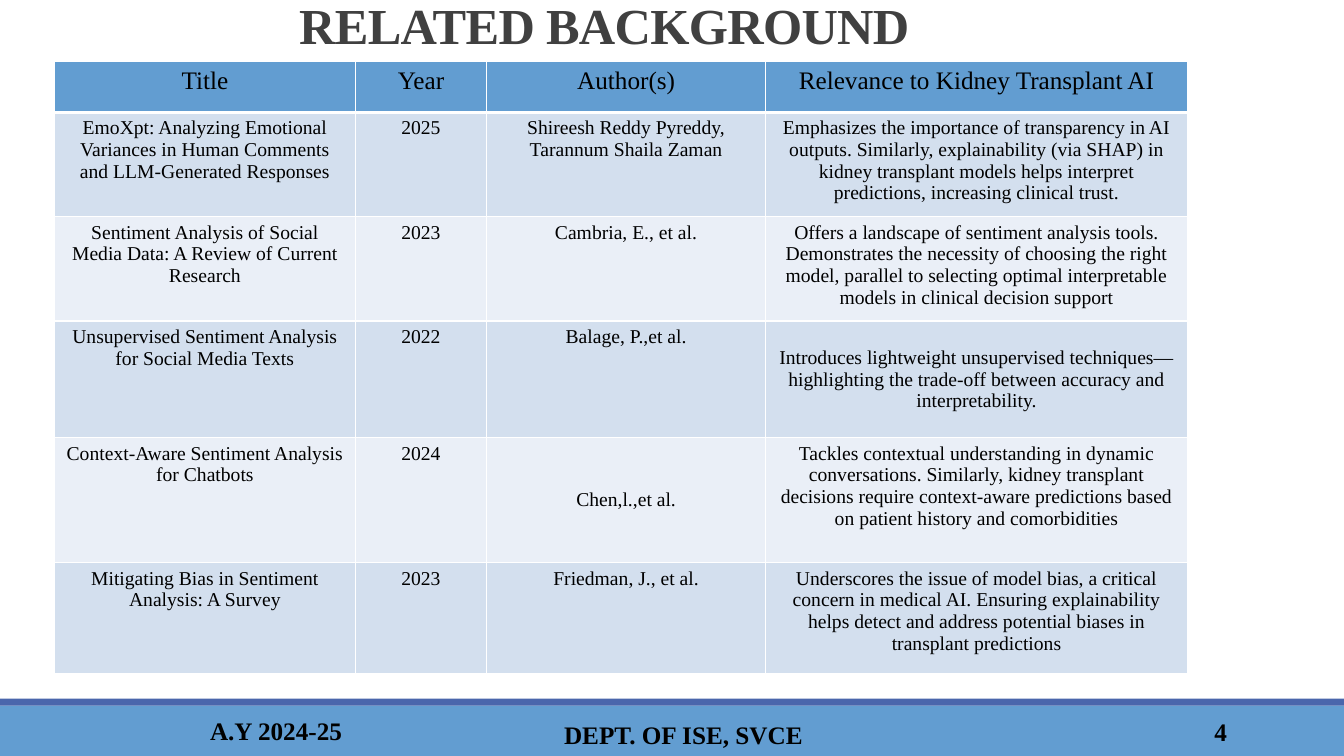
from pptx import Presentation
from pptx.util import Pt
from pptx.dml.color import RGBColor as Rgb
from pptx.enum.shapes import MSO_SHAPE as Kind
from pptx.enum.text import MSO_ANCHOR as Anchor, PP_ALIGN as Align
from pptx.oxml import parse_xml
from pptx.oxml.ns import nsdecls

# Content
TITLE = "RELATED BACKGROUND"
HEADS = ["Title", "Year", "Author(s)", "Relevance to Kidney Transplant AI"]
PAPERS = [
    ("EmoXpt: Analyzing Emotional Variances in Human Comments and LLM-Generated Responses",
     "2025", "Shireesh Reddy Pyreddy, Tarannum Shaila Zaman",
     "Emphasizes the importance of transparency in AI outputs. Similarly, explainability "
     "(via SHAP) in kidney transplant models helps interpret predictions, increasing "
     "clinical trust."),
    ("Sentiment Analysis of Social Media Data: A Review of Current Research",
     "2023", "Cambria, E., et al.",
     "Offers a landscape of sentiment analysis tools. Demonstrates the necessity of "
     "choosing the right model, parallel to selecting optimal interpretable models in "
     "clinical decision support"),
    ("Unsupervised Sentiment Analysis for Social Media Texts",
     "2022", "Balage, P.,et al.",
     "Introduces lightweight unsupervised techniques—highlighting the trade-off between "
     "accuracy and interpretability."),
    ("Context-Aware Sentiment Analysis for Chatbots",
     "2024", "Chen,l.,et al.",
     "Tackles contextual understanding in dynamic conversations. Similarly, kidney "
     "transplant decisions require context-aware predictions based on patient history "
     "and comorbidities"),
    ("Mitigating Bias in Sentiment Analysis: A Survey",
     "2023", "Friedman, J., et al.",
     "Underscores the issue of model bias, a critical concern in medical AI. Ensuring "
     "explainability helps detect and address potential biases in transplant predictions"),
]
MIDDLE = {(3, 3), (4, 2)}  # cells centred vertically: row, column

# Text, box (left, top, width, height), alignment
FOOTER = [
    ("4", (860.4, 508.3, 23, 28.8), Align.RIGHT),
    ("A.Y 2024-25", (7.5, 503.3, 379.4, 36.7), Align.CENTER),
    ("DEPT. OF ISE, SVCE", (355.3, 509, 265.7, 31), Align.CENTER),
]

# Layout
WIDTH, HEIGHT = 960, 540
BARS = [("blue", 504, 36), ("navy", 499, 5)]  # colour, top, height
HEADING = (21.2, -1.4, 820.8, 58.3)
LEFT, TOP = 39, 43.9
COLS = [214.8, 93.8, 199.4, 301.3]
ROWS = [36.4, 71.3, 65.5, 83.5, 89.3, 79.2]

THEME = {
    "font": "Times New Roman",
    "blue": "629DD1", "navy": "4A66AC", "band": ["EAEFF7", "D3DFEE"],
    "ink": "000000", "grey": "404040", "rule": "FFFFFF",
    "title": 36, "head": 18, "body": 14, "foot": 18,
}


def style(frame, size, color, bold=False, align=Align.CENTER):
    para = frame.paragraphs[0]
    para.alignment = align
    font = para.runs[0].font
    font.name, font.size, font.bold = THEME["font"], Pt(size), bold
    font.color.rgb = Rgb.from_string(color)
    return para


def label(slide, text, box, anchor):
    frame = slide.shapes.add_textbox(*map(Pt, box)).text_frame
    frame.word_wrap = True
    frame.vertical_anchor = anchor
    frame.text = text
    return frame


def border(cell, base):
    props = cell._tc.get_or_add_tcPr()
    sides = [("lnL", 1), ("lnR", 1), ("lnT", 1), ("lnB", base)]
    for spot, (side, width) in enumerate(sides):
        props.insert(spot, parse_xml(
            f'<a:{side} {nsdecls("a")} w="{Pt(width)}"><a:solidFill>'
            f'<a:srgbClr val="{THEME["rule"]}"/></a:solidFill></a:{side}>'))


def grid(slide):
    data = [HEADS] + PAPERS
    table = slide.shapes.add_table(len(ROWS), len(COLS), Pt(LEFT), Pt(TOP),
                                   Pt(sum(COLS)), Pt(sum(ROWS))).table
    for col, width in zip(table.columns, COLS):
        col.width = Pt(width)
    for r, (row, height) in enumerate(zip(table.rows, ROWS)):
        row.height = Pt(height)
        for c, cell in enumerate(row.cells):
            cell.text_frame.text = data[r][c]
            style(cell.text_frame, THEME["body" if r else "head"], THEME["ink"])
            cell.vertical_anchor = Anchor.MIDDLE if (r, c) in MIDDLE else Anchor.TOP
            cell.fill.solid()
            fill = THEME["band"][r % 2] if r else THEME["blue"]
            cell.fill.fore_color.rgb = Rgb.from_string(fill)
            border(cell, 1 if r else 3)


def main():
    deck = Presentation()
    deck.slide_width, deck.slide_height = Pt(WIDTH), Pt(HEIGHT)
    slide = deck.slides.add_slide(deck.slide_layouts[6])

    # Footer bars
    for color, top, height in BARS:
        bar = slide.shapes.add_shape(Kind.RECTANGLE, 0, Pt(top), Pt(WIDTH), Pt(height))
        bar.shadow.inherit = False
        bar.fill.solid()
        bar.fill.fore_color.rgb = Rgb.from_string(THEME[color])
        bar.line.fill.background()

    # Heading
    frame = label(slide, TITLE, HEADING, Anchor.TOP)
    para = style(frame, THEME["title"], THEME["grey"], True)
    para.line_spacing = 0.85
    para.runs[0].font._element.set("spc", "-50")

    # Footer text
    for text, box, align in FOOTER:
        frame = label(slide, text, box, Anchor.MIDDLE)
        style(frame, THEME["foot"], THEME["ink"], True, align)

    # Table of papers
    grid(slide)
    deck.save("out.pptx")


if __name__ == "__main__":
    main()
